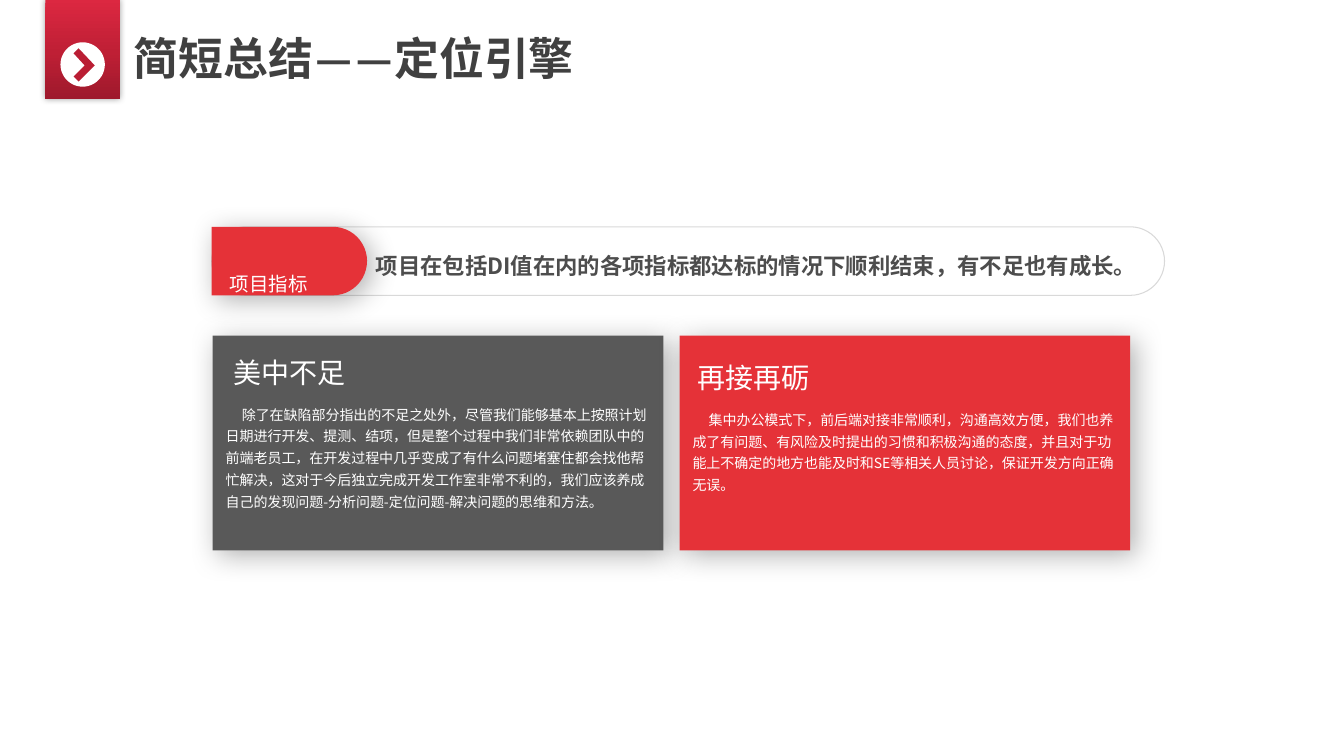
from copy import deepcopy

from lxml.etree import SubElement
from pptx import Presentation
from pptx.dml.color import RGBColor
from pptx.enum.shapes import MSO_SHAPE
from pptx.enum.text import MSO_AUTO_SIZE
from pptx.oxml.ns import qn
from pptx.util import Inches, Pt

RED, GRAY, WHITE = "E53238", "595959", "FFFFFF"
SANS = "Noto Sans CJK SC"


def add_text(text, left, top, width, height, size, color=WHITE, font=SANS,
             bold=False, spacing=1.3, indent=0, baseline=0, wrap=True, grow=True):
    box = slide.shapes.add_textbox(Inches(left), Inches(top), Inches(width), Inches(height))
    frame = box.text_frame
    frame.word_wrap = wrap
    frame.auto_size = MSO_AUTO_SIZE.SHAPE_TO_FIT_TEXT if grow else MSO_AUTO_SIZE.NONE
    paragraph = frame.paragraphs[0]
    paragraph.line_spacing = spacing
    if indent:
        paragraph._p.get_or_add_pPr().set("indent", str(Inches(indent)))
    run = paragraph.add_run()
    run.text = text
    run.font.size = Pt(size)
    run.font.bold = bold
    run.font.name = font
    run.font.color.rgb = RGBColor.from_string(color)
    properties = run._r.get_or_add_rPr()
    SubElement(properties, qn("a:ea")).set("typeface", font)
    if baseline:
        properties.set("baseline", str(baseline * 1000))


def style(shape, fill=None, line=None, shadow=None):
    """Set fill, outline and shadow; shadow is (opacity %, blur pt, distance pt, angle)."""
    if fill:
        shape.fill.solid()
        shape.fill.fore_color.rgb = RGBColor.from_string(fill)
    else:
        shape.fill.background()
    if line:
        shape.line.color.rgb = RGBColor.from_string(line)
        shape.line.width = Pt(0.75)
    else:
        shape.line.fill.background()
    shape.shadow.inherit = False
    if shadow:
        opacity, blur, distance, angle = shadow
        effects = shape._element.spPr.find(qn("a:effectLst"))
        outer = SubElement(effects, qn("a:outerShdw"), blurRad=str(Pt(blur)),
                           dist=str(Pt(distance)), dir=str(angle * 60000),
                           algn="ctr", rotWithShape="0")
        black = SubElement(outer, qn("a:srgbClr"), val="000000")
        SubElement(black, qn("a:alpha"), val=str(opacity * 1000))


presentation = Presentation()
presentation.slide_width = Inches(13.33)
presentation.slide_height = Inches(7.5)
slide = presentation.slides.add_slide(presentation.slide_layouts[6])
soft_shadow = (30, 20, 5, 45)

# Title
add_text("简短总结——定位引擎", 1.23, 0.26, 5.59, 0.64, size=32, color="404040",
         font="Calibri", bold=True, spacing=1.0)

# Ribbon with a vertical gradient
ribbon = slide.shapes.add_shape(MSO_SHAPE.RECTANGLE, Inches(0.45), 0, Inches(0.74), Inches(0.98))
style(ribbon, shadow=(40, 5, 0, 0))
ribbon.fill.gradient()
ribbon.fill.gradient_angle = 270
stop_list = ribbon._element.spPr.find(".//" + qn("a:gsLst"))
stop_list.append(deepcopy(stop_list[0]))
ribbon_stops = [(0, "DC2841"), (0.53, "BF1F35"), (1, "9E192C")]
for stop, (position, color) in zip(ribbon.fill.gradient_stops, ribbon_stops):
    stop.position = position
    stop.color.rgb = RGBColor.from_string(color)

# Arrow icon
icon = slide.shapes.add_group_shape()
disc = icon.shapes.add_shape(MSO_SHAPE.OVAL, Inches(0.6), Inches(0.42), Inches(0.44), Inches(0.44))
style(disc, fill=WHITE)
chevron_points = [(0.78, 0.48), (0.94, 0.65), (0.78, 0.81), (0.73, 0.76), (0.84, 0.65), (0.73, 0.53)]
points = [(Inches(x), Inches(y)) for x, y in chevron_points]
builder = icon.shapes.build_freeform(*points[0])
builder.add_line_segments(points[1:], close=True)
style(builder.convert_to_shape(), fill="BA1E34")

# Indicator bar with its red label
bar = slide.shapes.add_shape(MSO_SHAPE.ROUNDED_RECTANGLE, Inches(2.1), Inches(2.25),
                             Inches(9.45), Inches(0.68))
bar.adjustments[0] = 0.5
style(bar, line="D9D9D9")
label = slide.shapes.add_shape(MSO_SHAPE.ROUND_2_SAME_RECTANGLE, Inches(2.53), Inches(1.82),
                               Inches(0.68), Inches(1.54))
label.rotation = 90
label.adjustments[0] = 0.5
label.adjustments[1] = 0
style(label, fill=RED, shadow=soft_shadow)
add_text("项目指标", 2.18, 2.38, 1.1, 0.42, size=24, baseline=-3, wrap=False)
add_text("项目在包括DI值在内的各项指标都达标的情况下顺利结束，有不足也有成长。",
         3.63, 2.37, 8.28, 0.42, size=16, color="4D4D4D", bold=True)

# Cards: left, fill, heading left, heading top, heading, body
cards = [
    (2.11, GRAY, 2.22, 3.38, "美中不足",
     "除了在缺陷部分指出的不足之处外，尽管我们能够基本上按照计划日期进行开发、提测、结项，"
     "但是整个过程中我们非常依赖团队中的前端老员工，在开发过程中几乎变成了有什么问题堵塞住都会找他帮忙解决，"
     "这对于今后独立完成开发工作室非常不利的，我们应该养成自己的发现问题-分析问题-定位问题-解决问题的思维和方法。"),
    (6.74, RED, 6.82, 3.43, "再接再砺",
     "集中办公模式下，前后端对接非常顺利，沟通高效方便，我们也养成了有问题、有风险及时提出的习惯和积极沟通的态度，"
     "并且对于功能上不确定的地方也能及时和SE等相关人员讨论，保证开发方向正确无误。"),
]
for left, fill, heading_left, heading_top, heading, body in cards:
    card = slide.shapes.add_shape(MSO_SHAPE.RECTANGLE, Inches(left), Inches(3.33),
                                  Inches(4.47), Inches(2.13))
    style(card, fill=fill, shadow=soft_shadow)
    add_text(heading, heading_left, heading_top, 3.39, 0.52, size=20, grow=False)
    add_text(body, left + 0.03, heading_top + 0.55, 4.45, 1.17, size=10, indent=0.16)

presentation.save("out.pptx")
